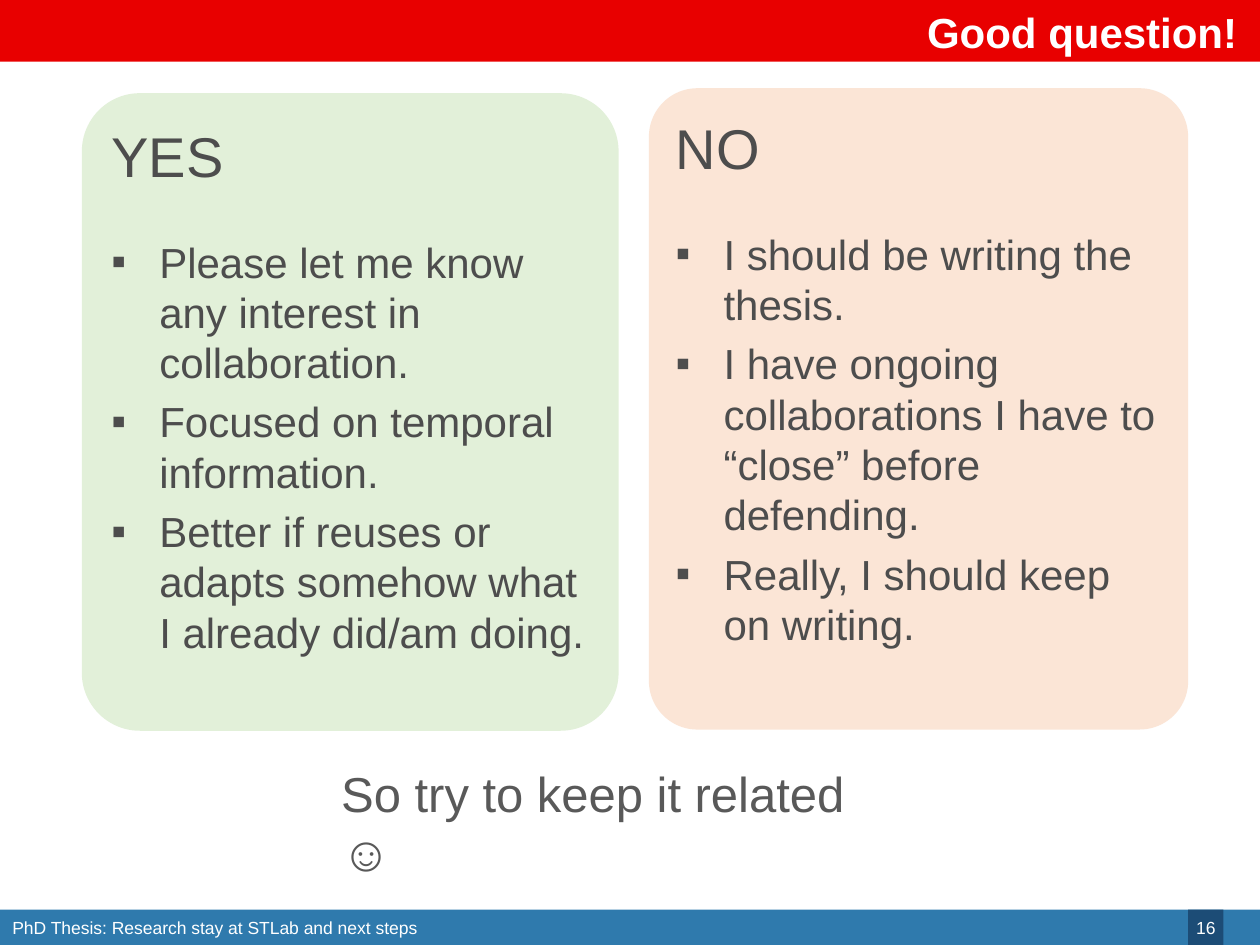
from pptx import Presentation
from pptx.dml.color import RGBColor
from pptx.enum.shapes import MSO_SHAPE as Shape
from pptx.enum.text import MSO_ANCHOR as Anchor, MSO_AUTO_SIZE as AutoSize, PP_ALIGN as Align
from pptx.oxml import parse_xml
from pptx.oxml.ns import nsdecls, qn
from pptx.util import Inches, Pt

WHITE = "FFFFFF"
BODY_GREY = "4D4D4D"
CLOSING_GREY = "595959"
GREEN = "E2F0D9"
ORANGE = "FBE5D6"
RED = "E80000"
BLUE = "2F7AAD"
NAVY = "1C4C76"


def color(value):
    return RGBColor.from_string(value)


def place(shape, box):
    shape.left, shape.top, shape.width, shape.height = (Inches(v) for v in box)


def style(para, size, tint, bold=False, align=Align.LEFT):
    para.alignment = align
    for span in para.runs:
        span.font.name = "Arial"
        span.font.size = Pt(size)
        span.font.bold = bold
        span.font.color.rgb = color(tint)


def add_bar(page, box, fill):
    bar = page.shapes.add_shape(Shape.RECTANGLE, *(Inches(v) for v in box))
    bar.shadow.inherit = False
    bar.fill.solid()
    bar.fill.fore_color.rgb = color(fill)
    bar.line.fill.background()
    return bar


def add_label(page, box, text, size, tint, anchor):
    label = page.shapes.add_textbox(*(Inches(v) for v in box))
    frame = label.text_frame
    frame.word_wrap = True
    frame.vertical_anchor = anchor
    frame.text = text
    style(frame.paragraphs[0], size, tint)


def add_header(page, box):
    bar = add_bar(page, box, RED)
    page.shapes.element.insert(2, bar.element)
    title = page.shapes.title
    left, top, width, height = box
    place(title, (left + 1.42, top + 0.1, width - 1.5, 0.33))
    frame = title.text_frame
    frame.auto_size = AutoSize.NONE
    frame.vertical_anchor = Anchor.MIDDLE
    frame.text = "Good question!"
    style(frame.paragraphs[0], 24, WHITE, bold=True, align=Align.RIGHT)


def add_footer(page, box):
    left, top, width, height = box
    add_bar(page, box, BLUE)
    add_label(page, (left, top, width / 2, height),
              "PhD Thesis: Research stay at STLab and next steps", 10, WHITE, Anchor.MIDDLE)
    number = add_bar(page, (left + 9.43, top, height, height), NAVY)
    frame = number.text_frame
    frame.margin_left = frame.margin_right = Inches(0.04)
    frame.margin_top = frame.margin_bottom = Inches(0.04)
    frame.vertical_anchor = Anchor.MIDDLE
    frame.text = "16"
    style(frame.paragraphs[0], 10, WHITE, align=Align.CENTER)


def set_bullet(para, indent, bullet):
    props = para._p.get_or_add_pPr()
    props.set("marL", str(Inches(indent)))
    props.set("indent", str(-Inches(indent)))
    mark = f'<a:buChar {nsdecls("a")} char="{bullet}"/>' if bullet else f'<a:buNone {nsdecls("a")}/>'
    props.append(parse_xml(mark))


def fill_panel(panel, box, fill, corner, heading, points):
    place(panel, box)
    panel.element.spPr.find(qn("a:xfrm")).addnext(parse_xml(
        f'<a:prstGeom {nsdecls("a")} prst="roundRect"><a:avLst>'
        f'<a:gd name="adj" fmla="val {round(corner * 100000)}"/></a:avLst></a:prstGeom>'))
    panel.fill.solid()
    panel.fill.fore_color.rgb = color(fill)
    frame = panel.text_frame
    frame.auto_size = AutoSize.NONE
    frame.vertical_anchor = Anchor.TOP
    frame.margin_top = Inches(0.09)
    frame.text = "\n".join([heading, *points])
    title, *items = frame.paragraphs
    set_bullet(title, 0, None)
    title.space_before = Pt(0)
    style(title, 32, BODY_GREY)
    for index, para in enumerate(items):
        set_bullet(para, 0.38, "▪")
        para.space_before = Pt(5 if index else 27)
        style(para, 24, BODY_GREY)


def main():
    deck = Presentation()
    deck.slide_width, deck.slide_height = Inches(10), Inches(7.5)
    page = deck.slides.add_slide(deck.slide_layouts[3])
    yes_panel, no_panel = page.placeholders[1], page.placeholders[2]
    add_header(page, (0, -0.01, 10, 0.5))
    add_footer(page, (0, 7.22, 10, 0.28))
    fill_panel(yes_panel, (0.65, 0.74, 4.26, 5.06), GREEN, 0.108, "YES", [
        "Please let me know any interest in collaboration.",
        "Focused on temporal information.",
        "Better if reuses or adapts somehow what I already did/am doing.",
    ])
    fill_panel(no_panel, (5.15, 0.7, 4.28, 5.09), ORANGE, 0.09, "NO", [
        "I should be writing the thesis.",
        "I have ongoing collaborations I have to “close” before defending.",
        "Really, I should keep on writing.",
    ])
    add_label(page, (2.61, 6.01, 4.68, 0.57), "So try to keep it related\v☺",
              28, CLOSING_GREY, Anchor.TOP)
    deck.save("out.pptx")


if __name__ == "__main__":
    main()
